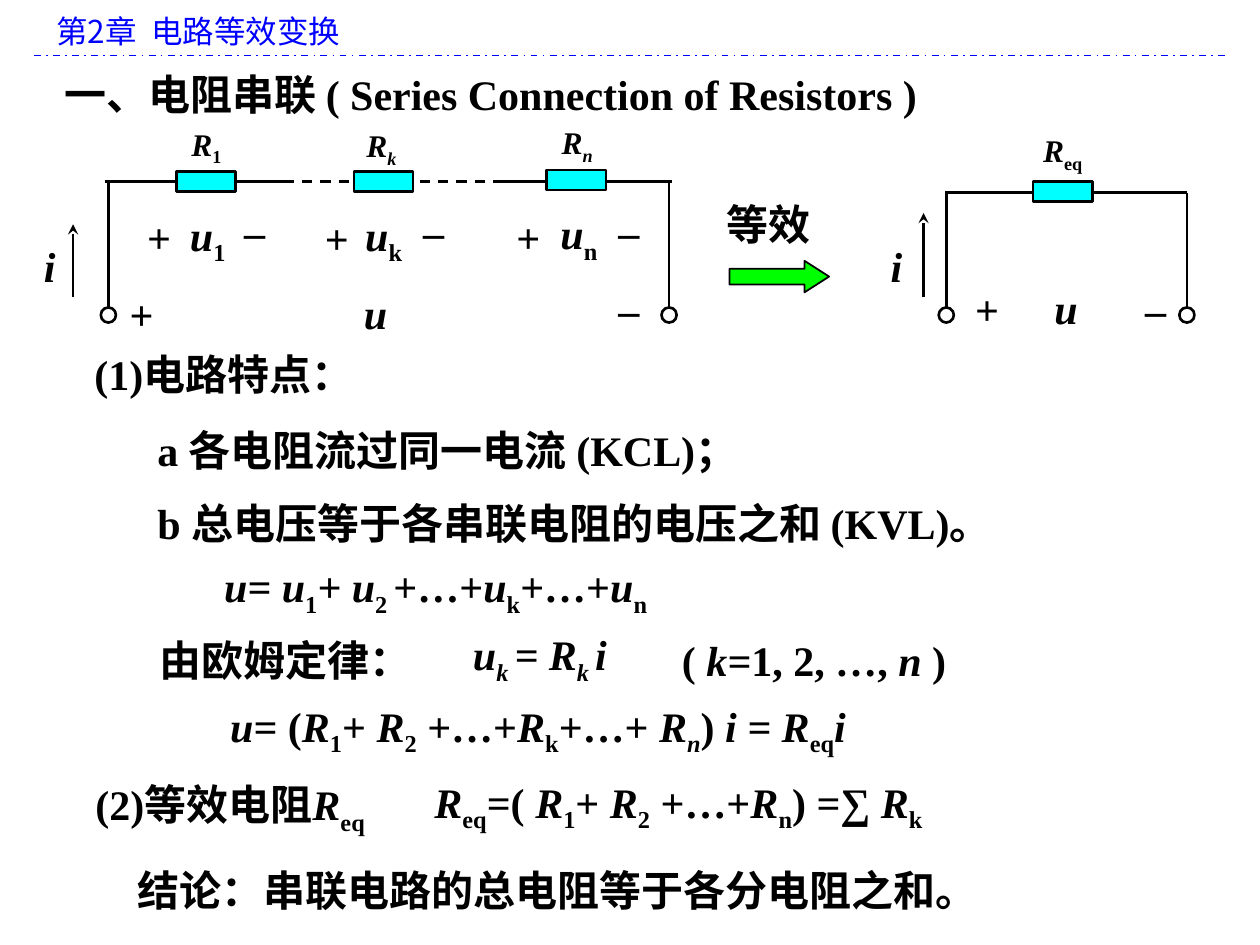
from lxml import etree
from pptx import Presentation
from pptx.dml.color import RGBColor
from pptx.enum.dml import MSO_LINE
from pptx.enum.shapes import MSO_CONNECTOR, MSO_SHAPE
from pptx.enum.text import MSO_ANCHOR, MSO_AUTO_SIZE, PP_ALIGN
from pptx.oxml.ns import qn
from pptx.util import Inches, Pt

LEFT, CENTER = PP_ALIGN.LEFT, PP_ALIGN.CENTER
DASH, DASH_DOT = MSO_LINE.DASH, MSO_LINE.DASH_DOT
LATIN_FONT, CHINESE_FONT = "Times New Roman", "Noto Sans CJK SC"
COLORS = {"ink": "000000", "header": "0000FF", "resistor": "00FFFF", "arrow": "00FF00"}


def add_text(shapes, left, top, width, markup, size=24, align=LEFT, color="ink",
             font=LATIN_FONT, bold=True, shape=None):
    """Write text in a new box or a given shape; /x/ is italic and ~x~ is subscript."""
    height = 0.5 if size == 24 else 0.4
    box = [Inches(value) for value in (left, top, width, height)]
    if shape is None:
        shape = shapes.add_textbox(*box)
    shape.left, shape.top, shape.width, shape.height = box
    frame = shape.text_frame
    frame.word_wrap = True
    frame.auto_size = MSO_AUTO_SIZE.NONE
    frame.vertical_anchor = MSO_ANCHOR.TOP
    paragraph = frame.paragraphs[0]
    paragraph.alignment = align
    for italic_index, part in enumerate(markup.split("/")):
        for subscript_index, text in enumerate(part.split("~")):
            if not text:
                continue
            run = paragraph.add_run()
            run.text = text
            run.font.name = font
            run.font.size = Pt(size)
            run.font.bold = bold
            run.font.italic = italic_index % 2 == 1
            run.font.color.rgb = RGBColor.from_string(COLORS[color])
            properties = run.font._element
            etree.SubElement(properties, qn("a:ea"), typeface=CHINESE_FONT)
            if subscript_index % 2:
                properties.set("baseline", "-25000")


def add_line(shapes, x1, y1, x2, y2, dash=None, arrow=False, color="ink", width=1.5):
    connector = shapes.add_connector(
        MSO_CONNECTOR.STRAIGHT, Inches(x1), Inches(y1), Inches(x2), Inches(y2))
    connector.line.color.rgb = RGBColor.from_string(COLORS[color])
    connector.line.width = Pt(width)
    if dash:
        connector.line.dash_style = dash
    if arrow:
        etree.SubElement(connector.line._get_or_add_ln(), qn("a:tailEnd"), type="stealth")
    etree.SubElement(connector._element.spPr, qn("a:effectLst"))


presentation = Presentation()
presentation.slide_width, presentation.slide_height = Inches(10), Inches(7.5)
slide = presentation.slides.add_slide(presentation.slide_layouts[5])
shapes = slide.shapes

# Chapter header and slide title
add_text(shapes, 0.35, 0.05, 9.37, "第2章  电路等效变换", size=18, color="header",
         font=CHINESE_FONT, bold=False)
add_line(shapes, 0.27, 0.44, 9.72, 0.44, dash=DASH_DOT, color="header", width=1)
add_text(shapes, 0.41, 0.49, 9.08, "一、电阻串联 ( Series Connection of Resistors )",
         shape=shapes.title)

# Circuits: wires (x1, y1, x2, y2, dash), currents (x, bottom, top),
# terminals (x), resistors (left, top), labels (left, top, width, markup, size)
TERMINAL_TOP, TERMINAL_SIZE = 2.44, 0.12
series_circuit = {
    "wires": [
        (0.83, 1.44, 1.42, 1.44, None), (1.87, 1.44, 2.28, 1.44, None),
        (2.25, 1.44, 2.83, 1.44, DASH), (3.33, 1.44, 3.92, 1.44, DASH),
        (3.92, 1.44, 4.33, 1.44, None), (4.78, 1.44, 5.33, 1.44, None),
        (0.86, 1.44, 0.86, TERMINAL_TOP, None), (5.31, 1.44, 5.31, TERMINAL_TOP, None),
    ],
    "current": (0.58, 2.36, 1.78),
    "terminals": [0.86, 5.31],
    "resistors": [(1.4, 1.36), (2.81, 1.36), (4.34, 1.35)],
    "labels": [
        (1.42, 0.94, 0.67, "/R/~1~", 18), (2.81, 0.95, 0.67, "/R~k~/", 18),
        (4.36, 0.93, 0.67, "/R~n~/", 18),
        (1.07, 1.63, 0.33, "+", 24), (1.41, 1.61, 0.67, "/u/~1~", 24),
        (1.84, 1.47, 0.33, "_", 24),
        (2.48, 1.64, 0.33, "+", 24), (2.8, 1.61, 0.67, "/u/~k~", 24),
        (3.26, 1.47, 0.33, "_", 24),
        (4, 1.63, 0.33, "+", 24), (4.35, 1.6, 0.67, "/u/~n~", 24),
        (4.81, 1.47, 0.33, "_", 24),
        (0.25, 1.86, 0.33, "/i/", 24), (0.93, 2.24, 0.33, "+", 24),
        (2.79, 2.23, 0.56, "/u/", 24), (4.81, 2.09, 0.33, "_", 24),
    ],
}
equivalent_circuit = {
    "wires": [
        (7.5, 1.53, 8.2, 1.53, None), (8.64, 1.53, 9.42, 1.53, None),
        (7.51, 1.53, 7.51, TERMINAL_TOP, None), (9.42, 1.53, 9.42, TERMINAL_TOP, None),
    ],
    "current": (7.33, 2.36, 1.69),
    "terminals": [7.51, 9.42],
    "resistors": [(8.2, 1.44)],
    "labels": [
        (8.18, 0.99, 0.84, "/R/~eq~", 18), (6.97, 1.86, 0.33, "/i/", 24),
        (7.64, 2.2, 0.42, "+", 24), (8.27, 2.19, 0.42, "/u/", 24),
        (8.99, 2.09, 0.33, "_", 24),
    ],
}
for circuit in (series_circuit, equivalent_circuit):
    group = shapes.add_group_shape().shapes
    for x1, y1, x2, y2, dash in circuit["wires"]:
        add_line(group, x1, y1, x2, y2, dash)
    x, bottom, top = circuit["current"]
    add_line(group, x, bottom, x, top, arrow=True)
    parts = [(MSO_SHAPE.OVAL, x - TERMINAL_SIZE / 2, TERMINAL_TOP, TERMINAL_SIZE, TERMINAL_SIZE)
             for x in circuit["terminals"]]
    parts += [(MSO_SHAPE.RECTANGLE, left, top, 0.47, 0.16)
              for left, top in circuit["resistors"]]
    for kind, *box in parts:
        part = group.add_shape(kind, *[Inches(value) for value in box])
        part.shadow.inherit = False
        part.line.color.rgb = RGBColor.from_string(COLORS["ink"])
        part.line.width = Pt(1.5)
        if kind == MSO_SHAPE.RECTANGLE:
            part.fill.solid()
            part.fill.fore_color.rgb = RGBColor.from_string(COLORS["resistor"])
        else:
            part.fill.background()
    for left, top, width, markup, size in circuit["labels"]:
        add_text(group, left, top, width, markup, size)

# Equivalence arrow
group = shapes.add_group_shape().shapes
add_text(group, 5.67, 1.53, 1, "等效")
arrow = group.add_shape(MSO_SHAPE.RIGHT_ARROW, Inches(5.79), Inches(2.07),
                        Inches(0.79), Inches(0.25))
arrow.adjustments[1] = 0.78
arrow.shadow.inherit = False
arrow.fill.solid()
arrow.fill.fore_color.rgb = RGBColor.from_string(COLORS["arrow"])
arrow.line.color.rgb = RGBColor.from_string(COLORS["ink"])
arrow.line.width = Pt(1)

# Statements and formulas
for left, top, width, markup, align in [
    (0.65, 2.72, 2.82, "(1)电路特点：", LEFT),
    (1.15, 3.32, 8.18, "a 各电阻流过同一电流 (KCL)；", LEFT),
    (1.15, 3.9, 8.18, "b 总电压等于各串联电阻的电压之和 (KVL)。", LEFT),
    (1.68, 4.4, 6.08, "/u= u/~1~/+ u/~2 ~+…+/u/~k~+…+/u/~n~", LEFT),
    (1.17, 4.99, 2.68, "由欧姆定律：", LEFT),
    (3.53, 4.94, 1.51, "/u~k ~= R~k ~i/", CENTER),
    (5.25, 4.99, 2.42, "( /k=/1, 2, …, /n /)", CENTER),
    (1.42, 5.51, 5.7,
     "/u= /(/R/~1~+ /R/~2~ +…+/R/~k~+…+ /R~n~/)/ i = R/~eq~/i/", CENTER),
    (0.66, 6.13, 3.33, "(2)等效电阻/R/~eq~", LEFT),
    (3.35, 6.11, 5.6, "/R/~eq~=( /R/~1~+ /R/~2~ +…+/R/~n~) =∑ /R/~k~", LEFT),
    (0.99, 6.81, 8.5, "结论：串联电路的总电阻等于各分电阻之和。", LEFT),
]:
    add_text(shapes, left, top, width, markup, align=align)

presentation.save("out.pptx")
